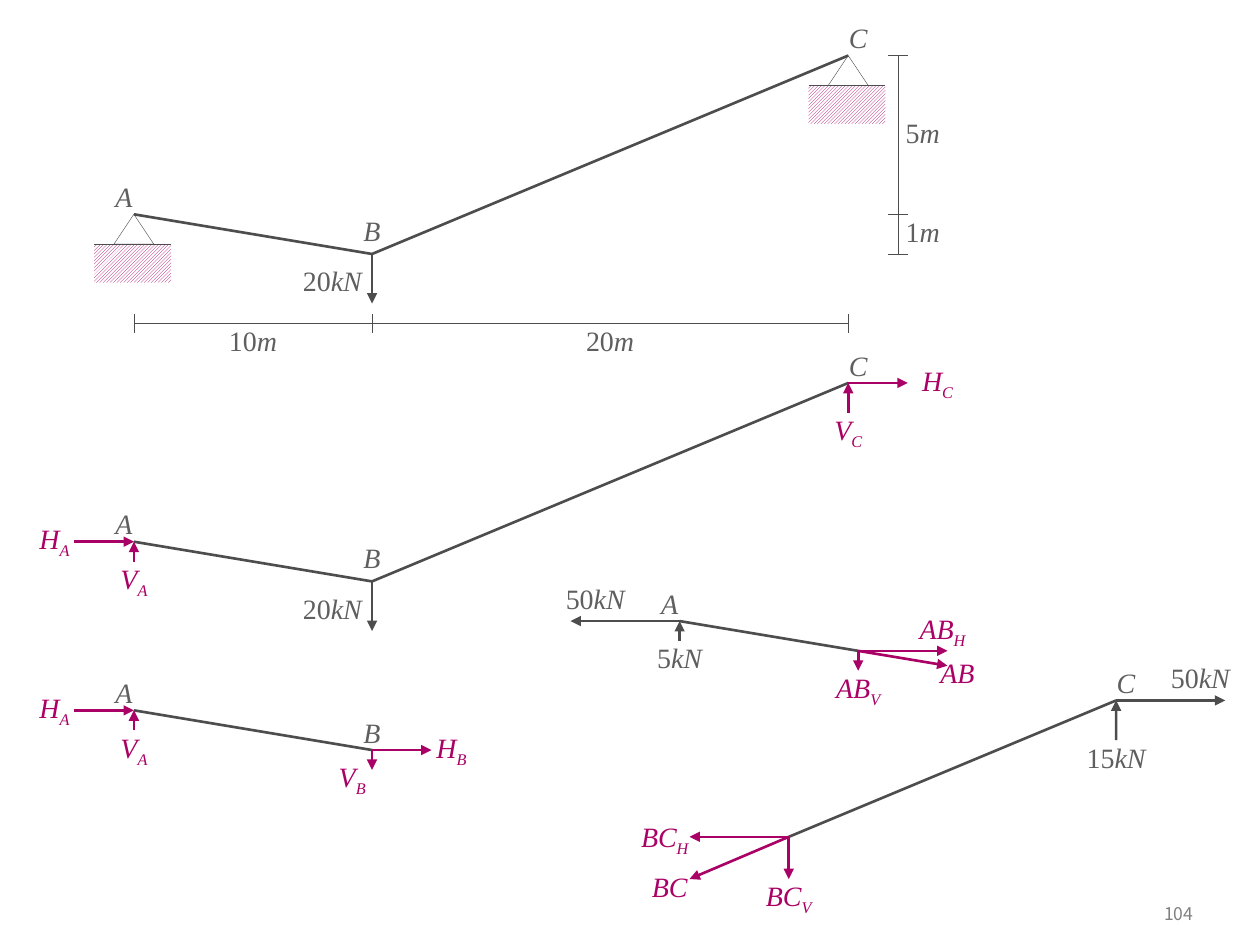
from lxml import etree
from pptx import Presentation
from pptx import util as u
from pptx.dml.color import RGBColor
from pptx.enum import dml, shapes, text
from pptx.oxml.ns import qn

GREY = RGBColor(0x5F, 0x5F, 0x5F)
DARK = RGBColor(0x4D, 0x4D, 0x4D)
PINK = RGBColor(0xA9, 0x01, 0x65)
WHITE = RGBColor(0xFF, 0xFF, 0xFF)
PALE = RGBColor(0x80, 0x80, 0x80)
SERIF, SANS = "Times New Roman", "Noto Sans CJK KR"
THIN, BOLD = 0.25, 1.5
TOP, LEFT, RIGHT = 0, 1, 3  # connection sites


def move(p, dx, dy):
    return p[0] + dx, p[1] + dy


def line(g, a, b, width=BOLD, color=DARK, arrow=False):
    item = g.shapes.add_connector(shapes.MSO_CONNECTOR.STRAIGHT,
                                  *(u.Cm(v) for v in (*a, *b)))
    item.line.color.rgb = color
    item.line.width = u.Pt(width)
    if arrow:
        ln = item.line._get_or_add_ln()
        etree.SubElement(ln, qn("a:tailEnd"), type="triangle")
    etree.SubElement(item._element.spPr, qn("a:effectLst"))
    return item


def label(g, words, at, color=GREY, wide=0.8, high=0.8):
    """Centre words under the point at: upright digits, italics, then _subscript."""
    box = g.shapes.add_textbox(u.Cm(at[0] - wide / 2), u.Cm(at[1]),
                               u.Cm(wide), u.Cm(high))
    frame = box.text_frame
    frame.word_wrap = False
    frame.margin_left = frame.margin_right = 0
    frame.margin_top = frame.margin_bottom = 0
    par = frame.paragraphs[0]
    par.alignment = text.PP_ALIGN.CENTER
    main, _, sub = words.partition("_")
    name = main.lstrip("0123456789")
    digits = main[:len(main) - len(name)]
    for part in filter(None, (digits, name, sub)):
        run = par.add_run()
        run.text = part
        run.font.name, run.font.size = SERIF, u.Pt(16)
        run.font.color.rgb = color
        run.font.italic = part != digits
        if part == sub:
            run._r.get_or_add_rPr().set("baseline", "-25000")
    return box


def node(g, name, p, dx=0, lift=0):
    label(g, name, move(p, dx, -0.7 - lift), high=0.7)


def force(g, p, reach, words, shift, color=PINK, wide=0.8,
          site=None, inward=False):
    """Arrow between node p and p + reach, with its label at p + shift."""
    box = label(g, words, move(p, *shift), GREY if color == DARK else color, wide)
    far = move(p, *reach)
    ends = (far, p) if inward else (p, far)
    item = line(g, *ends, color=color, arrow=True)
    if site is not None:
        join = item.begin_connect if inward else item.end_connect
        join(box, site)


def support(g, p):
    x, y = p
    base = g.shapes.add_shape(shapes.MSO_SHAPE.RECTANGLE, u.Cm(x - 0.8),
                              u.Cm(y + 0.6), u.Cm(1.55), u.Cm(0.78))
    base.fill.patterned()
    base.fill.pattern = dml.MSO_PATTERN.LIGHT_UPWARD_DIAGONAL
    base.fill.fore_color.rgb, base.fill.back_color.rgb = PINK, WHITE
    base.line.fill.background()
    line(g, (x - 0.8, y + 0.6), (x + 0.75, y + 0.6), THIN)
    pin = g.shapes.add_shape(shapes.MSO_SHAPE.ISOSCELES_TRIANGLE, u.Cm(x - 0.4),
                             u.Cm(y), u.Cm(0.8), u.Cm(0.6))
    pin.fill.background()
    pin.line.color.rgb, pin.line.width = DARK, u.Pt(THIN)
    for item in (base, pin):
        item.shadow.inherit = False


def scale(g, stops, level, names, upright=False):
    """Dimension line with a tick at each stop and a name for each span."""
    def spot(along, off=0):
        return (level + off, along) if upright else (along, level + off)
    line(g, spot(stops[0]), spot(stops[-1]), THIN)
    for stop in stops:
        line(g, spot(stop, -0.2), spot(stop, 0.2), THIN)
    for a, b, name in zip(stops, stops[1:], names):
        mid = (a + b) / 2
        at = (level + 0.5, mid - 0.4) if upright else (mid, level)
        label(g, name, at, wide=1 if upright else 1.2)


def cable(g, top):
    """Cable A-B-C with its load; top is the height of C."""
    a, b, c = (2.7, top + 3.2), (7.5, top + 4), (17.1, top)
    line(g, a, b)
    line(g, b, c)
    node(g, "A", a, -0.2)
    node(g, "B", b, lift=0.12)
    node(g, "C", c, 0.2)
    force(g, b, (0, 1), "20kN", (-0.8, 0.2), DARK, 1.2)
    return a, b, c


def react(g, a):
    force(g, a, (-1.2, 0), "H_A", (-1.6, -0.4), site=RIGHT, inward=True)
    force(g, a, (0, 0.4), "V_A", (0, 0.4), site=TOP, inward=True)


def layout(g):
    a, b, c = cable(g, 1.12)
    support(g, a)
    support(g, c)
    scale(g, (a[0], b[0], c[0]), 6.52, ("10m", "20m"))
    scale(g, (c[1], a[1], b[1]), 18.1, ("5m", "1m"), True)


def whole(g):
    a, _, c = cable(g, 7.72)
    react(g, a)
    force(g, c, (0, 0.6), "V_C", (0, 0.6), site=TOP, inward=True)
    force(g, c, (1.2, 0), "H_C", (1.8, -0.4))


def part(g):
    a, b = (2.7, 14.32), (7.5, 15.12)
    line(g, a, b)
    node(g, "A", a, -0.2)
    node(g, "B", b)
    react(g, a)
    force(g, b, (1.2, 0), "H_B", (1.6, -0.4), site=LEFT)
    force(g, b, (0, 0.4), "V_B", (-0.4, 0.2))


def left(g):
    a, cut = (13.7, 12.52), (17.3, 13.12)
    line(g, a, cut)
    node(g, "A", a, -0.2)
    force(g, a, (0, 0.4), "5kN", (0, 0.4), DARK, 1.2, TOP, True)
    force(g, a, (-2.2, 0), "50kN", (-1.7, -0.8), DARK, 1.4)
    force(g, cut, (0, 0.4), "AB_V", (0, 0.4), wide=1.2, site=TOP)
    force(g, cut, (1.8, 0.3), "AB", (2, 0.1))
    force(g, cut, (1.8, 0), "AB_H", (1.7, -0.8), wide=1.4)


def right(g):
    c, cut = (22.5, 14.12), (15.9, 16.87)
    line(g, cut, c)
    node(g, "C", c, 0.2)
    force(g, c, (0, 0.8), "15kN", (0, 0.8), DARK, 1.2, TOP, True)
    force(g, c, (2.2, 0), "50kN", (1.7, -0.8), DARK, 1.4)
    force(g, cut, (-2, 0.85), "BC", (-2.4, 0.65))
    force(g, cut, (0, 0.85), "BC_V", (0, 0.85), wide=1.2, site=TOP)
    force(g, cut, (-2, 0), "BC_H", (-2.5, -0.35), wide=1.4)


def number(slide):
    box = slide.shapes.add_textbox(u.Cm(22.5), u.Cm(18), u.Cm(1.8), u.Cm(0.84))
    frame = box.text_frame
    frame.word_wrap = True
    frame.vertical_anchor = text.MSO_ANCHOR.MIDDLE
    frame.text = "104"
    par = frame.paragraphs[0]
    par.alignment = text.PP_ALIGN.RIGHT
    font = par.runs[0].font
    font.name, font.size = SANS, u.Pt(10)
    font.color.rgb = PALE


def main():
    deck = Presentation()
    deck.slide_width, deck.slide_height = u.Cm(25.4), u.Cm(19.05)
    slide = deck.slides.add_slide(deck.slide_layouts[6])
    number(slide)
    # One group for each diagram
    for draw in (whole, layout, part, left, right):
        draw(slide.shapes.add_group_shape())
    deck.save("out.pptx")


if __name__ == "__main__":
    main()
